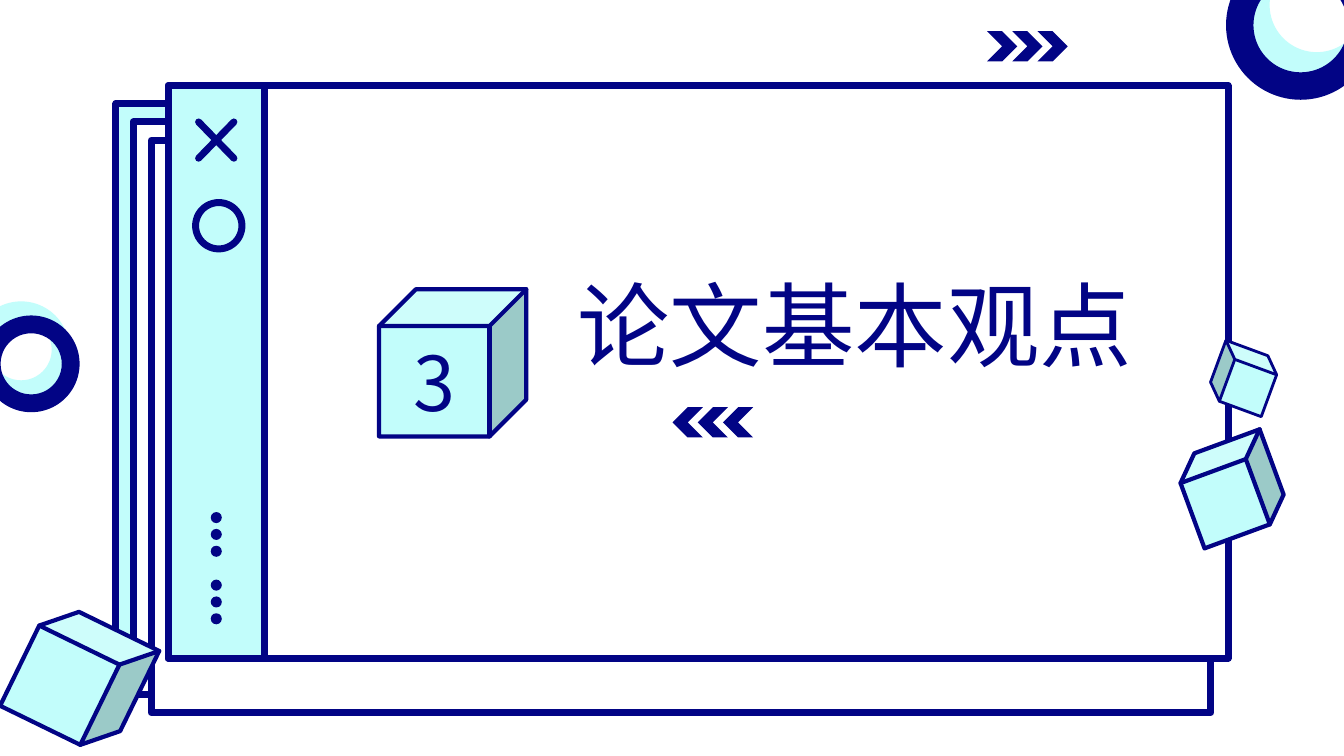
import pptx
import pptx.dml.color
import pptx.enum.shapes
import pptx.enum.text
import pptx.oxml.ns
import pptx.util
from lxml import etree

Inches = pptx.util.Inches
SHAPE = pptx.enum.shapes.MSO_SHAPE
ALIGN = pptx.enum.text.PP_ALIGN
ANCHOR = pptx.enum.text.MSO_ANCHOR

NAVY, CYAN, WHITE = "020485", "C2FDFB", "FFFFFF"
FONT = "Noto Sans CJK SC"
TITLE, NUMBER = "论文基本观点", "3"

WINDOW_SIZE = (10.51, 5.68)
SIDEBAR_WIDTH = 0.95
WINDOWS = [  # left, top, fill
    (1.15, 1.03, CYAN),
    (1.32, 1.21, WHITE),
    (1.5, 1.39, WHITE),
    (1.67, 0.85, WHITE),
]
CLOSE_CROSS = (1.97, 1.21, 2.32, 1.57)  # left, top, right, bottom
CUBES = [  # left, top, size, rotation, line width, mirrored
    (11.76, 4.39, 0.92, 339.8, 3, False),
    (12.04, 3.46, 0.59, 20.2, 2, True),
    (0.2, 6.14, 1.18, 26, 3, False),
]
NUMBER_CUBE = (3.76, 2.87, 1.46)
RINGS = [  # left, top, size, fill
    (12.32, -0.69, 1.48, CYAN),
    (12.16, -0.49, 1.48, NAVY),
    (-0.27, 2.99, 0.96, CYAN),
    (-0.17, 3.13, 0.96, NAVY),
]
RING_THICKNESS = 0.184
DOT_LEFT, DOT_SIZE, DOT_GAP = 2.09, 0.11, 0.167
DOT_GROUP_TOPS = [5.08, 5.75]
CHEVRON_ROWS = [(9.79, 0.31, 0), (6.67, 4.04, 180)]  # left, top, rotation
CHEVRON_SIZE, CHEVRON_STEP = 0.3, 0.25

presentation = pptx.Presentation()
presentation.slide_width = Inches(13.33)
presentation.slide_height = Inches(7.5)
slide = presentation.slides.add_slide(presentation.slide_layouts[6])


def color(hex_value):
    return pptx.dml.color.RGBColor.from_string(hex_value)


def set_line(item, width):
    """Give a navy line with round ends and corners."""
    item.line.color.rgb = color(NAVY)
    item.line.width = pptx.util.Pt(width)
    line = item.line._get_or_add_ln()
    line.set("cap", "rnd")
    etree.SubElement(line, pptx.oxml.ns.qn("a:round"))


def add_shape(kind, left, top, width, height, fill, line_width=0, rotation=0):
    shape = slide.shapes.add_shape(
        kind, Inches(left), Inches(top), Inches(width), Inches(height))
    shape.shadow.inherit = False
    shape.fill.solid()
    shape.fill.fore_color.rgb = color(fill)
    shape.rotation = rotation
    if line_width:
        set_line(shape, line_width)
    else:
        shape.line.fill.background()
    return shape


def add_line(left, top, right, bottom, width):
    connector = slide.shapes.add_connector(
        pptx.enum.shapes.MSO_CONNECTOR.STRAIGHT,
        Inches(left), Inches(top), Inches(right), Inches(bottom))
    set_line(connector, width)
    etree.SubElement(connector._element.spPr, pptx.oxml.ns.qn("a:effectLst"))


def write(shape, text, size, align=ALIGN.LEFT, anchor=ANCHOR.TOP, wrap=True):
    frame = shape.text_frame
    frame.word_wrap = wrap
    frame.vertical_anchor = anchor
    paragraph = frame.paragraphs[0]
    paragraph.alignment = align
    run = paragraph.add_run()
    run.text = text
    run.font.size = pptx.util.Pt(size)
    run.font.name = FONT
    run.font.color.rgb = color(NAVY)
    east_asian = etree.SubElement(run.font._element, pptx.oxml.ns.qn("a:ea"))
    east_asian.set("typeface", FONT)


for left, top, fill in WINDOWS:
    add_shape(SHAPE.RECTANGLE, left, top, *WINDOW_SIZE, fill, 5)
front_left, front_top, _ = WINDOWS[-1]
add_shape(SHAPE.RECTANGLE, front_left, front_top, SIDEBAR_WIDTH, WINDOW_SIZE[1], CYAN, 5)

left, top, right, bottom = CLOSE_CROSS
add_line(left, top, right, bottom, 5)
add_line(right, top, left, bottom, 5)
add_shape(SHAPE.OVAL, 1.94, 2.01, 0.46, 0.46, CYAN, 5)

for left, top, size, rotation, line_width, mirrored in CUBES:
    cube = add_shape(SHAPE.CUBE, left, top, size, size, CYAN, line_width, rotation)
    if mirrored:
        cube._element.spPr.xfrm.set("flipH", "1")

for left, top, size, fill in RINGS:
    ring = add_shape(SHAPE.DONUT, left, top, size, size, fill)
    ring.adjustments[0] = RING_THICKNESS

for group_top in DOT_GROUP_TOPS:
    for index in range(3):
        add_shape(SHAPE.OVAL, DOT_LEFT, group_top + index * DOT_GAP, DOT_SIZE, DOT_SIZE, NAVY)

for row_left, top, rotation in CHEVRON_ROWS:
    for index in range(3):
        add_shape(SHAPE.CHEVRON, row_left + index * CHEVRON_STEP, top,
                  CHEVRON_SIZE, CHEVRON_SIZE, NAVY, rotation=rotation)

left, top, size = NUMBER_CUBE
number_cube = add_shape(SHAPE.CUBE, left, top, size, size, CYAN, 3)
write(number_cube, NUMBER, 54, align=ALIGN.CENTER, anchor=ANCHOR.MIDDLE)

title_box = slide.shapes.add_textbox(Inches(5.63), Inches(2.61), Inches(5.76), Inches(1.21))
write(title_box, TITLE, 66, wrap=False)
title_box.text_frame.auto_size = pptx.enum.text.MSO_AUTO_SIZE.SHAPE_TO_FIT_TEXT

presentation.save("out.pptx")
